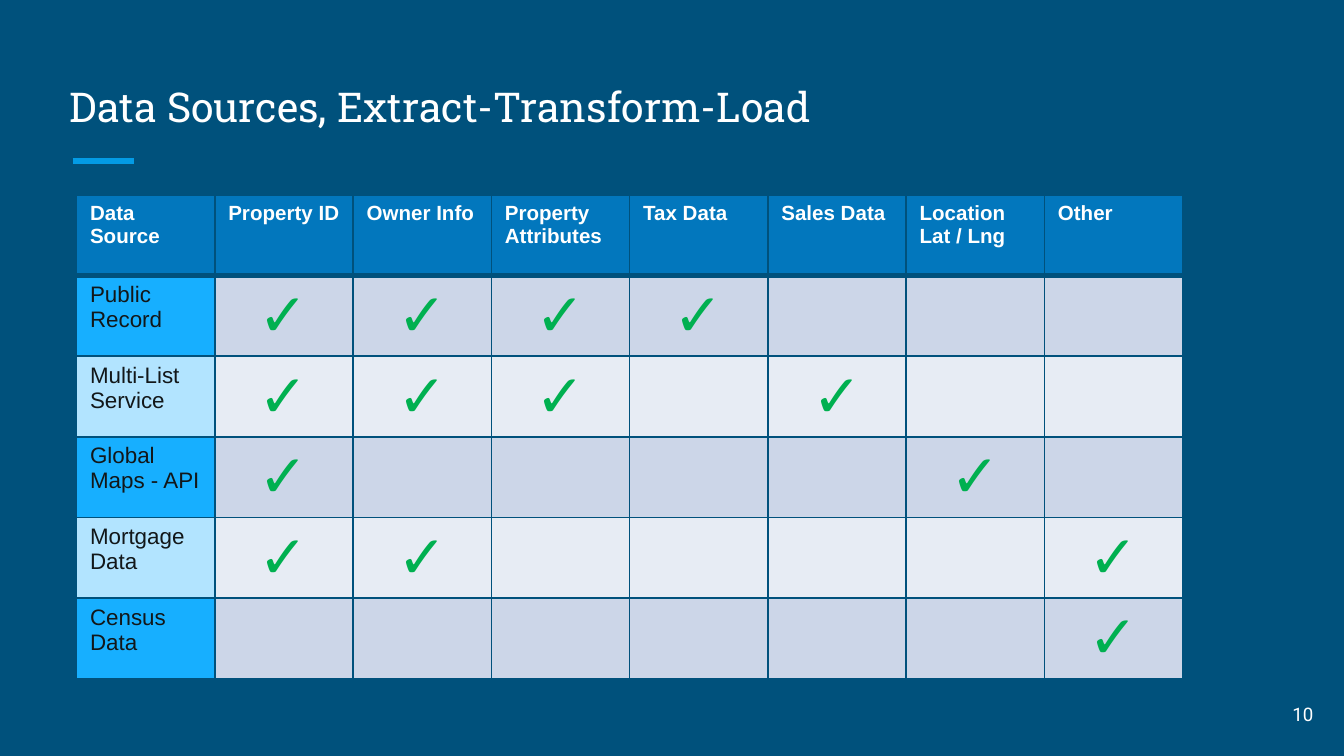
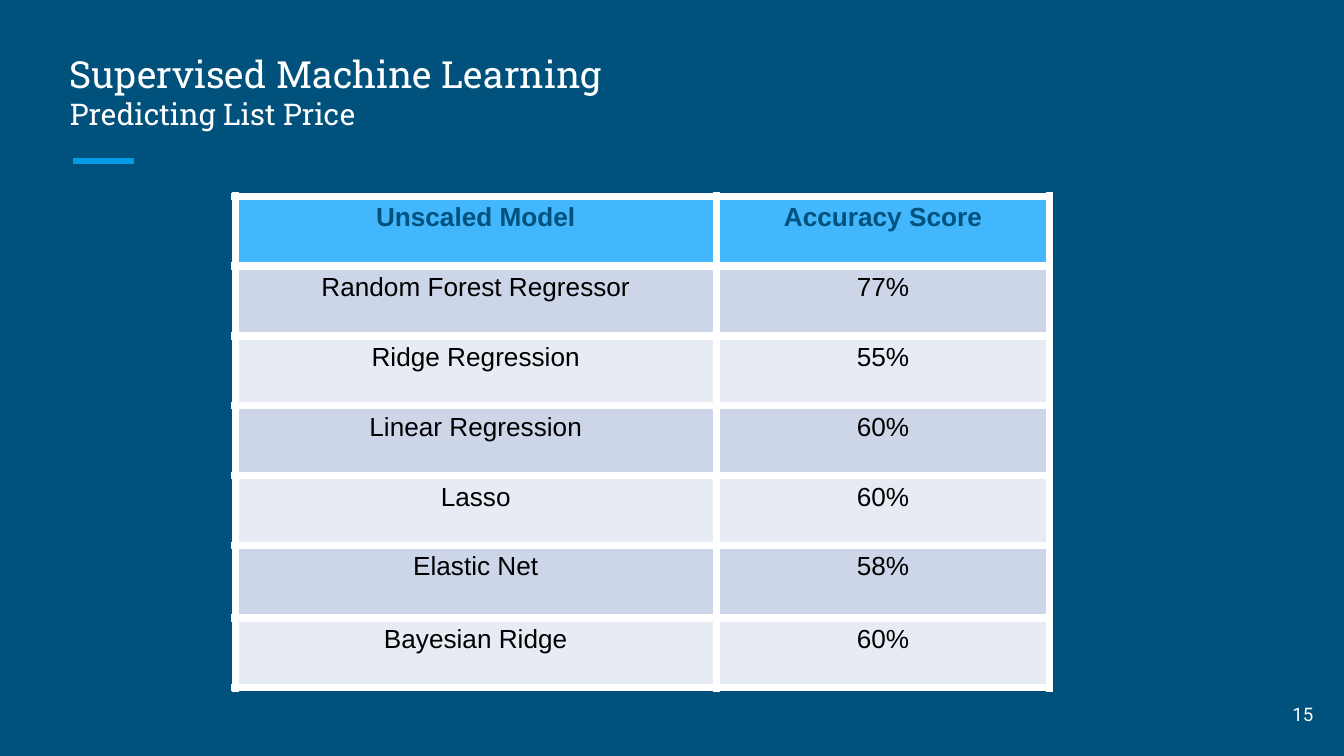
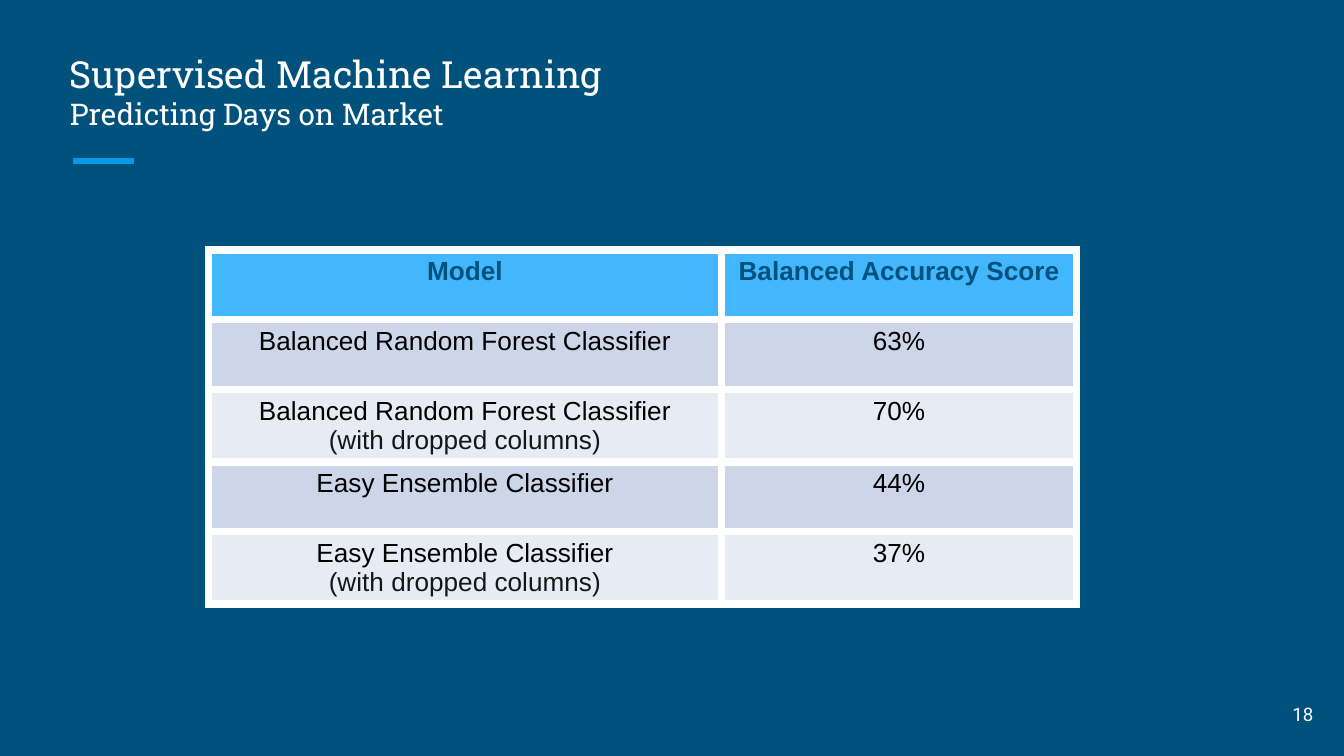
"""Build three slides on property data sources and model scores."""
from pptx import Presentation
from pptx.dml.color import RGBColor
from pptx.enum.shapes import MSO_CONNECTOR
from pptx.enum.text import MSO_ANCHOR, MSO_AUTO_SIZE, PP_ALIGN
from pptx.oxml.ns import qn
from pptx.util import Inches, Pt
from lxml.etree import SubElement

HUES = {
    "back": "00517C", "line": "039BE5", "white": "FFFFFF", "black": "000000",
    "ink": "121719", "head": "0277BD", "sky": "42B7FD", "check": "00B050",
    "odd": "CCD6E8", "even": "E7ECF4", "side_odd": "17AFFF", "side_even": "B2E4FF",
}
MARK = "✓"
HEADS = ["Data Source", "Property ID", "Owner Info", "Property\nAttributes",
         "Tax Data", "Sales Data", "Location\nLat / Lng", "Other"]
FEEDS = [
    ("Public Record", {1, 2, 3, 4}),
    ("Multi-List\nService", {1, 2, 3, 5}),
    ("Global\nMaps - API", {1, 6}),
    ("Mortgage\nData", {1, 2, 7}),
    ("Census\nData", {7}),
]
PRICE = [
    ("Unscaled Model", "Accuracy Score"),
    ("Random Forest Regressor", "77%"),
    ("Ridge Regression", "55%"),
    ("Linear Regression", "60%"),
    ("Lasso", "60%"),
    ("Elastic Net", "58%"),
    ("Bayesian Ridge", "60%"),
]
DAYS = [
    ("Model", "Balanced Accuracy Score"),
    ("Balanced Random Forest Classifier", "63%"),
    ("Balanced Random Forest Classifier\n(with dropped columns)", "70%"),
    ("Easy Ensemble Classifier", "44%"),
    ("Easy Ensemble Classifier\n(with dropped columns)", "37%"),
]
SCORES = [
    ("Predicting List Price", 15, PRICE, (1.75, 1.46), (3.58, 2.48),
     [0.52] * 5 + [0.54, 0.52]),
    ("Predicting Days on Market", 18, DAYS, (1.55, 1.86), (3.82, 2.64),
     [0.52] * 5),
]


def tint(name):
    return RGBColor.from_string(HUES[name])


def put(frame, text, size=14, font="Arial", hue="white", bold=False,
        align=PP_ALIGN.LEFT, sub_size=None, sub_hue=None, soft=False):
    para = frame.paragraphs[0]
    para.alignment = align
    for i, line in enumerate(text.split("\n")):
        if i and soft:
            para.add_line_break()
            SubElement(para._p[-1], qn("a:rPr"), sz=str(size * 100))
        elif i:
            para = frame.add_paragraph()
            para.alignment = align
        run = para.add_run()
        run.text = line
        face = run.font
        face.name, face.bold = font, bold
        face.size = Pt(sub_size if i and sub_size else size)
        face.color.rgb = tint(sub_hue if i and sub_hue else hue)


def place(shape, left, top, width, height, anchor):
    shape.left, shape.top = Inches(left), Inches(top)
    shape.width, shape.height = Inches(width), Inches(height)
    frame = shape.text_frame
    frame.word_wrap, frame.auto_size = True, MSO_AUTO_SIZE.NONE
    frame.vertical_anchor = anchor
    frame.margin_left = frame.margin_right = Inches(0.1)
    frame.margin_top = frame.margin_bottom = Inches(0.1)
    return frame


def start(deck, title, number, size, top, width):
    slide = deck.slides.add_slide(deck.slide_layouts[5])
    rule = slide.shapes.add_connector(
        MSO_CONNECTOR.STRAIGHT, Inches(0.54), Inches(1.2), Inches(1), Inches(1.2))
    rule.line.color.rgb, rule.line.width = tint("line"), Pt(3)
    SubElement(rule.element.spPr, qn("a:effectLst"))
    frame = place(slide.shapes.title, 0.42, top, width, 0.75, MSO_ANCHOR.BOTTOM)
    put(frame, title, size=size, font="Roboto Slab", sub_size=16, soft=True)
    box = slide.shapes.add_textbox(0, 0, 0, 0)
    frame = place(box, 9.27, 5.1, 0.6, 0.43, MSO_ANCHOR.MIDDLE)
    put(frame, str(number), size=10, font="Roboto", align=PP_ALIGN.RIGHT)
    return slide


def edge(cell, hue, **widths):
    props = cell._tc.get_or_add_tcPr()
    for side in "LRTB":
        line = SubElement(props, qn("a:ln" + side), w=str(Pt(widths[side])))
        fill = SubElement(line, qn("a:solidFill"))
        SubElement(fill, qn("a:srgbClr"), val=HUES[hue])


def grid(slide, rows, spot, cols, highs, hue, line, rule, style):
    left, top = spot
    table = slide.shapes.add_table(
        len(rows), len(cols), Inches(left), Inches(top),
        Inches(sum(cols)), Inches(sum(highs))).table
    table.first_row = table.horz_banding = False
    for col, width in zip(table.columns, cols):
        col.width = Inches(width)
    for r, (row, high) in enumerate(zip(rows, highs)):
        table.rows[r].height = Inches(high)
        for c, text in enumerate(row):
            cell = table.cell(r, c)
            edge(cell, hue, L=line, R=line, T=rule if r == 1 else line,
                 B=rule if r == 0 else line)
            fill, form = style(r, c)
            cell.fill.solid()
            cell.fill.fore_color.rgb = tint(fill)
            if text:
                put(cell.text_frame, text, **form)


def band(row):
    return "odd" if row % 2 else "even"


def source(row, col):
    if row == 0:
        return "head", dict(size=11, bold=True)
    if col == 0:
        return "side_" + band(row), dict(size=12, hue="ink")
    return band(row), dict(size=32, hue="check", align=PP_ALIGN.CENTER)


def score(row, col):
    if row == 0:
        return "sky", dict(hue="back", bold=True, align=PP_ALIGN.CENTER)
    return band(row), dict(hue="black", sub_hue="ink", align=PP_ALIGN.CENTER)


def main():
    deck = Presentation()
    deck.slide_width = Inches(10)
    deck.slide_height = deck.slide_width * 9 // 16
    back = deck.slide_master.background.fill
    back.solid()
    back.fore_color.rgb = tint("back")

    slide = start(deck, "Data Sources, Extract-Transform-Load", 10, 22, 0.32, 9.15)
    rows = [HEADS] + [
        [name] + [MARK if c in hits else "" for c in range(1, len(HEADS))]
        for name, hits in FEEDS]
    cols = [8.23 / len(HEADS)] * len(HEADS)
    grid(slide, rows, (0.57, 1.45), cols, [0.6] * len(rows), "back", 1, 3, source)

    for name, number, rows, spot, cols, highs in SCORES:
        title = "Supervised Machine Learning\n" + name
        slide = start(deck, title, number, 20, 0.33, 8.72)
        grid(slide, rows, spot, cols, highs, "white", 4.5, 4.5, score)

    deck.save("out.pptx")


if __name__ == "__main__":
    main()
